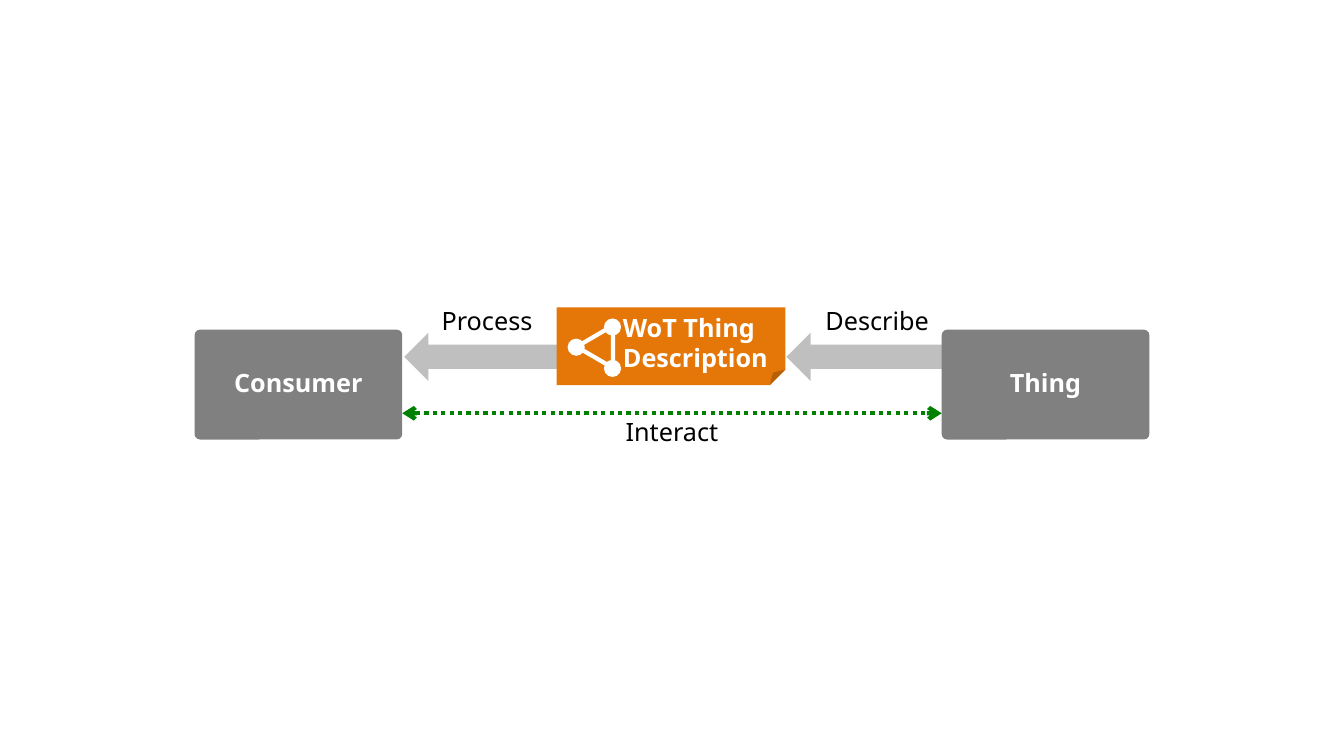
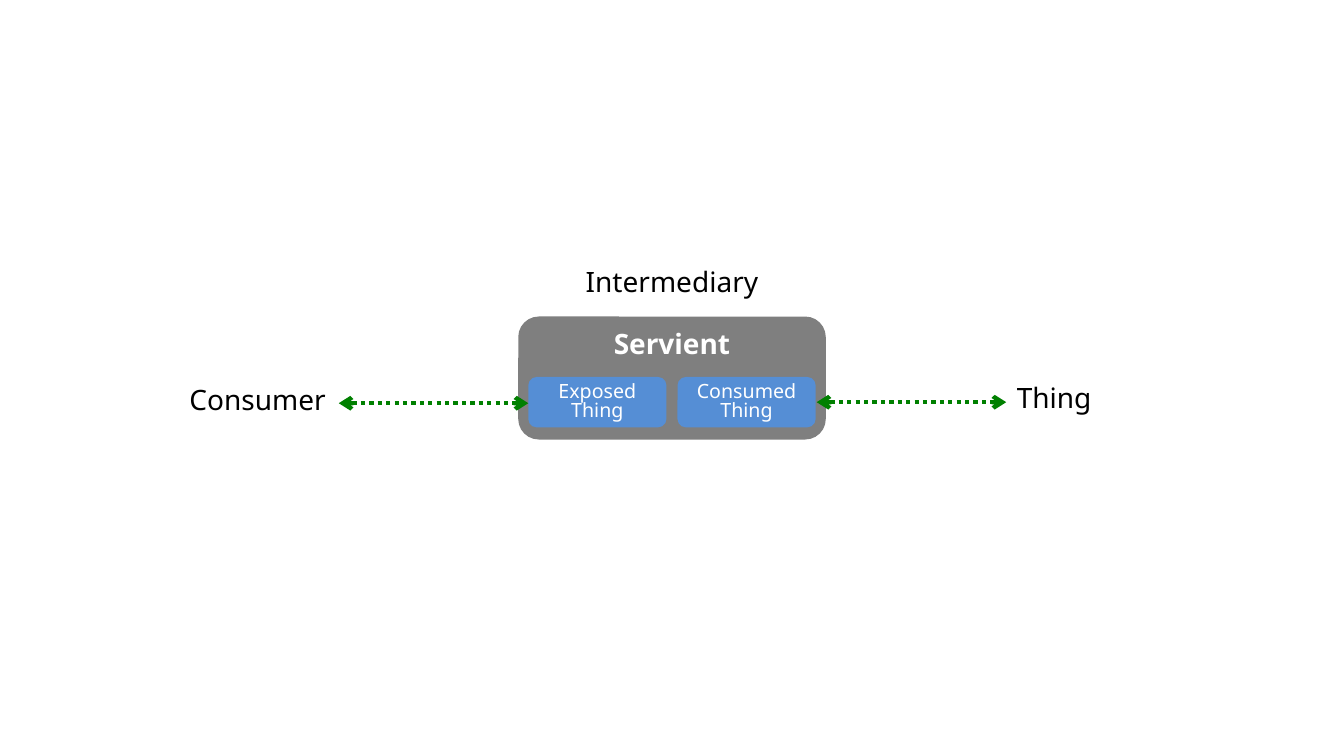
from dataclasses import dataclass

import pptx
import pptx.dml.color
import pptx.enum.dml
import pptx.enum.shapes
import pptx.enum.text
import pptx.oxml
import pptx.oxml.ns
import pptx.shapes.autoshape
import pptx.slide
import pptx.text.text
import pptx.util

Inches = pptx.util.Inches
Preset = pptx.enum.shapes.MSO_SHAPE
Align = pptx.enum.text.PP_ALIGN
Anchor = pptx.enum.text.MSO_ANCHOR


# Theme: colours, type sizes and line weight
@dataclass(frozen=True)
class Theme:
    font: str = "Noto Sans"
    black: str = "000000"
    white: str = "FFFFFF"
    gray: str = "808080"
    servient_gray: str = "7F7F7F"
    arrow_gray: str = "BFBFBF"
    orange: str = "E57709"
    blue: str = "558ED5"
    green: str = "008000"
    small: int = 14
    medium: int = 18
    large: int = 20
    line: int = 3


THEME = Theme()


@dataclass(frozen=True)
class Area:
    left: float
    top: float
    width: float
    height: float

    def lengths(self) -> tuple:
        return tuple(Inches(n) for n in (self.left, self.top, self.width, self.height))


@dataclass(frozen=True)
class TextStyle:
    size: int
    color: str = THEME.black
    bold: bool = False
    align: Align = Align.CENTER
    anchor: Anchor = Anchor.TOP
    spacing: float = 1.0
    wrap: bool = False
    insets: tuple = (0.1, 0.05, 0.1, 0.05)


@dataclass(frozen=True)
class Label:
    text: str
    area: Area


LABEL = TextStyle(THEME.medium)
LARGE_LABEL = TextStyle(THEME.large)
NODE = TextStyle(THEME.medium, THEME.white, True, anchor=Anchor.MIDDLE,
                 insets=(0.1, 0.04, 0.1, 0.08))
DOCUMENT = TextStyle(THEME.medium, THEME.white, True, Align.LEFT, wrap=True)
SERVIENT = TextStyle(THEME.large, THEME.white, True, wrap=True,
                     insets=(0.08, 0.04, 0.08, 0.04))
INNER_THING = TextStyle(THEME.small, THEME.white, anchor=Anchor.MIDDLE, spacing=0.8)


# Drawing helpers
def rgb(color: str) -> pptx.dml.color.RGBColor:
    return pptx.dml.color.RGBColor.from_string(color)


def write(frame: pptx.text.text.TextFrame, text: str, style: TextStyle) -> None:
    frame.text = text
    frame.word_wrap = style.wrap
    frame.vertical_anchor = style.anchor
    (frame.margin_left, frame.margin_top,
     frame.margin_right, frame.margin_bottom) = map(Inches, style.insets)
    for para in frame.paragraphs:
        para.alignment = style.align
        para.line_spacing = style.spacing
        for span in para.runs:
            span.font.name = THEME.font
            span.font.size = pptx.util.Pt(style.size)
            span.font.bold = style.bold
            span.font.color.rgb = rgb(style.color)


def add_label(page: pptx.slide.Slide, label: Label, style: TextStyle) -> None:
    box = page.shapes.add_textbox(*label.area.lengths())
    write(box.text_frame, label.text, style)


def add_preset(page: pptx.slide.Slide, preset: Preset, area: Area,
               fill: str) -> pptx.shapes.autoshape.Shape:
    shape = page.shapes.add_shape(preset, *area.lengths())
    shape.shadow.inherit = False
    shape.fill.solid()
    shape.fill.fore_color.rgb = rgb(fill)
    shape.line.fill.background()
    return shape


def add_node(page: pptx.slide.Slide, label: Label, style: TextStyle, fill: str,
             corner: float | None = None) -> None:
    shape = add_preset(page, Preset.ROUNDED_RECTANGLE, label.area, fill)
    if corner is not None:
        shape.adjustments[0] = corner
    write(shape.text_frame, label.text, style)


def add_document(page: pptx.slide.Slide, area: Area, fill: str, fold: float) -> None:
    """Sheet with a folded corner, whose size python-pptx does not expose."""
    sheet = add_preset(page, Preset.FOLDED_CORNER, area, fill)
    geometry = sheet._element.spPr.find(pptx.oxml.ns.qn("a:prstGeom"))
    guides = geometry.get_or_add_avLst()
    guides.append(pptx.oxml.parse_xml(
        f'<a:gd {pptx.oxml.ns.nsdecls("a")} name="adj" '
        f'fmla="val {round(fold * 100000)}"/>'))


def add_interaction(page: pptx.slide.Slide, left: float, right: float, y: float) -> None:
    """Dotted line with an arrowhead at each end."""
    line = page.shapes.add_connector(
        pptx.enum.shapes.MSO_CONNECTOR.STRAIGHT,
        Inches(left), Inches(y), Inches(right), Inches(y))
    line.line.color.rgb = rgb(THEME.green)
    line.line.width = pptx.util.Pt(THEME.line)
    line.line.dash_style = pptx.enum.dml.MSO_LINE.ROUND_DOT
    outline = line.line._get_or_add_ln()
    for end in ("headEnd", "tailEnd"):
        outline.append(pptx.oxml.parse_xml(
            f'<a:{end} {pptx.oxml.ns.nsdecls("a")} type="arrow"/>'))
    line._element.spPr.append(pptx.oxml.parse_xml(
        f'<a:effectLst {pptx.oxml.ns.nsdecls("a")}/>'))


def add_graph_icon(page: pptx.slide.Slide) -> None:
    """Triangle with a dot on each corner."""
    triangle = add_preset(page, Preset.ISOSCELES_TRIANGLE,
                          Area(5.69, 3.26, 0.42, 0.36), THEME.white)
    triangle.rotation = 270
    triangle.fill.background()
    triangle.line.color.rgb = rgb(THEME.white)
    triangle.line.width = pptx.util.Pt(THEME.line)
    for left, top in ((5.99, 3.16), (5.63, 3.36), (5.99, 3.57)):
        add_preset(page, Preset.OVAL, Area(left, top, 0.17, 0.17), THEME.white)


# Slide 1: a consumer uses a Thing Description
def build_description_slide(page: pptx.slide.Slide) -> None:
    for left, width in ((7.8, 1.58), (4.01, 1.52)):
        add_preset(page, Preset.LEFT_ARROW, Area(left, 3.3, width, 0.48),
                   THEME.arrow_gray)
    for text, left in (("Thing", 9.34), ("Consumer", 1.93)):
        add_node(page, Label(text, Area(left, 3.27, 2.06, 1.09)), NODE,
                 THEME.gray, 0.05)
    add_interaction(page, 3.99, 9.34, 4.1)
    for label in (Label("Describe", Area(8.08, 2.98, 1.24, 0.4)),
                  Label("Process", Area(4.27, 2.98, 1.12, 0.4)),
                  Label("Interact", Area(6.1, 4.08, 1.13, 0.4))):
        add_label(page, label, LABEL)
    add_document(page, Area(5.52, 3.05, 2.27, 0.77), THEME.orange, 0.2)
    add_graph_icon(page)
    add_label(page, Label("WoT Thing\nDescription", Area(6.08, 3.05, 1.86, 0.71)),
              DOCUMENT)


# Slide 2: an intermediary between consumer and thing
def build_intermediary_slide(page: pptx.slide.Slide) -> None:
    add_node(page, Label("Servient", Area(5.14, 3.14, 3.05, 1.22)), SERVIENT,
             THEME.servient_gray)
    for text, left in (("Exposed\nThing", 5.24), ("Consumed\nThing", 6.72)):
        add_node(page, Label(text, Area(left, 3.74, 1.37, 0.5)), INNER_THING,
                 THEME.blue)
    for label in (Label("Intermediary", Area(5.7, 2.58, 1.93, 0.44)),
                  Label("Thing", Area(9.98, 3.73, 0.95, 0.44)),
                  Label("Consumer", Area(1.77, 3.75, 1.57, 0.44))):
        add_label(page, label, LARGE_LABEL)
    add_interaction(page, 8.1, 9.98, 3.99)
    add_interaction(page, 3.36, 5.24, 4)


def main() -> None:
    deck = pptx.Presentation()
    deck.slide_width, deck.slide_height = Inches(13.33), Inches(7.5)
    blank = deck.slide_layouts[6]
    for build in (build_description_slide, build_intermediary_slide):
        build(deck.slides.add_slide(blank))
    deck.save("out.pptx")


if __name__ == "__main__":
    main()
